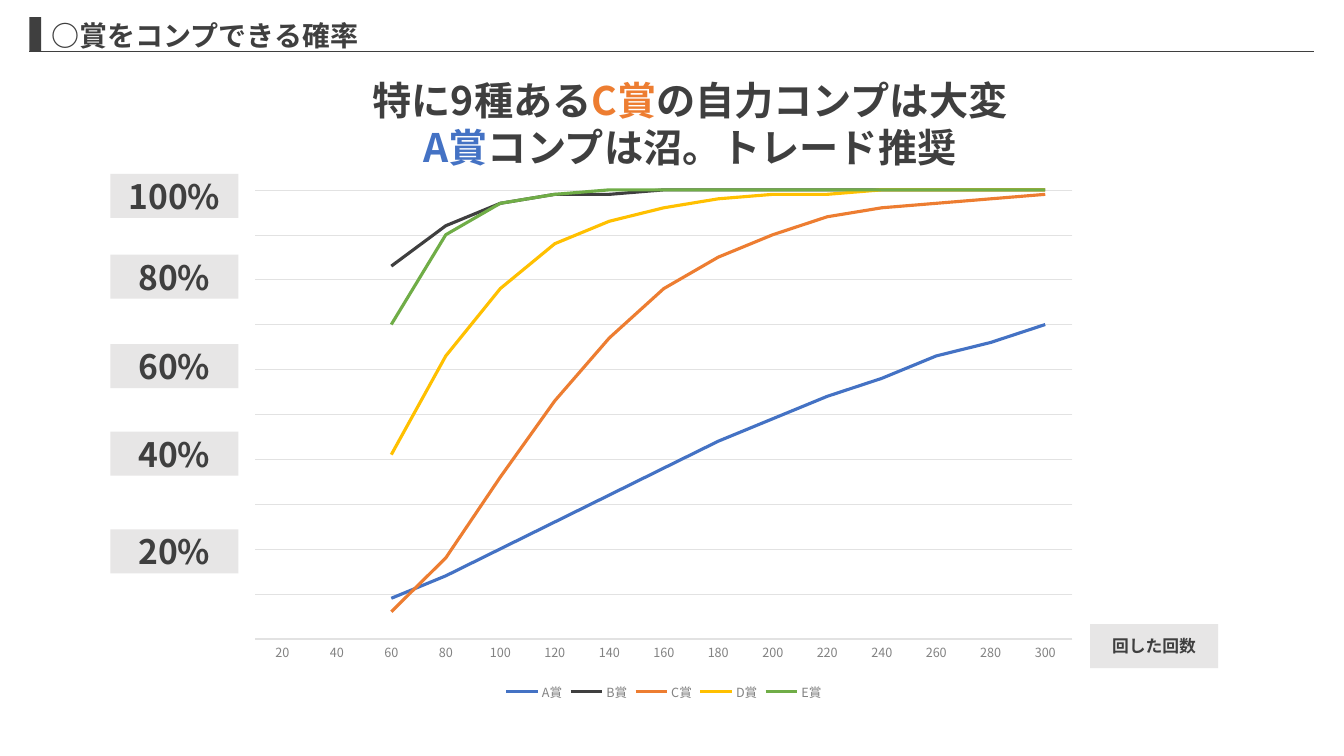
from lxml import etree
from pptx import Presentation
from pptx.chart.data import CategoryChartData
from pptx.dml.color import RGBColor
from pptx.enum.chart import XL_CHART_TYPE, XL_LEGEND_POSITION, XL_TICK_LABEL_POSITION, XL_TICK_MARK
from pptx.enum.shapes import MSO_CONNECTOR, MSO_SHAPE
from pptx.enum.text import MSO_ANCHOR, PP_ALIGN
from pptx.oxml import parse_xml
from pptx.oxml.ns import nsdecls, qn
from pptx.util import Cm, Pt

LINE_CHART = XL_CHART_TYPE.LINE
LEGEND_BOTTOM = XL_LEGEND_POSITION.BOTTOM
NO_LABELS = XL_TICK_LABEL_POSITION.NONE
NO_TICKS = XL_TICK_MARK.NONE
STRAIGHT = MSO_CONNECTOR.STRAIGHT
RECTANGLE = MSO_SHAPE.RECTANGLE
TOP, MIDDLE = MSO_ANCHOR.TOP, MSO_ANCHOR.MIDDLE
LEFT, CENTER = PP_ALIGN.LEFT, PP_ALIGN.CENTER

FONT = "Noto Sans CJK JP"
COLORS = {name: RGBColor.from_string(value) for name, value in {
    "dark": "3F3F3F", "blue": "4472C4", "orange": "ED7D31", "yellow": "FFC000",
    "green": "70AD47", "label": "E7E6E6", "grid": "E2E2E2", "axis": "828282"}.items()}


def style_font(font, size, color, bold=False):
    """Set size, colour, weight and both Latin and East Asian typefaces."""
    font.size, font.bold, font.name = Pt(size), bold, FONT
    font.color.rgb = COLORS[color]
    latin = font._element.find(qn("a:latin")) if hasattr(font, "_element") else font._rPr.find(qn("a:latin"))
    east_asian = etree.Element(qn("a:ea"), typeface=FONT)
    latin.addnext(east_asian)


def add_box(left, top, width, height, fill, text="", size=12):
    """Add a plain filled rectangle with optional bold centred text."""
    shape = slide.shapes.add_shape(RECTANGLE, Cm(left), Cm(top), Cm(width), Cm(height))
    shape.shadow.inherit = False
    shape.fill.solid()
    shape.fill.fore_color.rgb = COLORS[fill]
    shape.line.fill.background()
    if text:
        shape.text_frame.text = text
        shape.text_frame.vertical_anchor = MIDDLE
        paragraph = shape.text_frame.paragraphs[0]
        paragraph.alignment = CENTER
        style_font(paragraph.font, size, "dark", True)


presentation = Presentation()
presentation.slide_width, presentation.slide_height = Cm(33.87), Cm(19.05)
slide = presentation.slides.add_slide(presentation.slide_layouts[5])

# Title with its marker and rule
title = slide.shapes.title
title.left, title.top, title.width, title.height = Cm(1.04), Cm(0.33), Cm(32.2), Cm(1.12)
title.text_frame.text = "○賞をコンプできる確率"
title.text_frame.vertical_anchor = TOP
paragraph = title.text_frame.paragraphs[0]
paragraph.alignment = LEFT
style_font(paragraph.font, 20, "dark", True)

rule = slide.shapes.add_connector(STRAIGHT, Cm(0.74), Cm(1.3), Cm(33.12), Cm(1.3))
rule.line.color.rgb = COLORS["dark"]
rule.line.width = Pt(0.5)
etree.SubElement(rule._element.spPr, qn("a:effectLst"))
add_box(0.74, 0.43, 0.3, 0.87, "dark")

# Headline
headline = slide.shapes.add_textbox(Cm(8.13), Cm(1.8), Cm(18.52), Cm(2.64)).text_frame
headline.word_wrap = True
headline_lines = [
    [("特に9種ある", "dark"), ("C賞", "orange"), ("の自力コンプは大変", "dark")],
    [("A賞", "blue"), ("コンプは沼。トレード推奨", "dark")],
]
for index, parts in enumerate(headline_lines):
    paragraph = headline.add_paragraph() if index else headline.paragraphs[0]
    paragraph.alignment = CENTER
    for text, color in parts:
        run = paragraph.add_run()
        run.text = text
        style_font(run.font, 28, color, True)

# Completion chance by number of draws
series_data = {
    "A賞": ("blue", [9, 14, 20, 26, 32, 38, 44, 49, 54, 58, 63, 66, 70]),
    "B賞": ("dark", [83, 92, 97, 99, 99] + [100] * 8),
    "C賞": ("orange", [6, 18, 36, 53, 67, 78, 85, 90, 94, 96, 97, 98, 99]),
    "D賞": ("yellow", [41, 63, 78, 88, 93, 96, 98, 99, 99] + [100] * 4),
    "E賞": ("green", [70, 90, 97, 99] + [100] * 9),
}
chart_data = CategoryChartData()
chart_data.categories = [str(draws) for draws in range(20, 301, 20)]
for name, (color, values) in series_data.items():
    chart_data.add_series(name, [None, None] + values)
chart = slide.shapes.add_chart(
    LINE_CHART, Cm(6), Cm(4.52), Cm(21.46), Cm(13.23), chart_data).chart
chart.has_title = False
style_font(chart.font, 10, "dark")
chart.has_legend = True
chart.legend.position = LEGEND_BOTTOM
chart.legend.include_in_layout = False
style_font(chart.legend.font, 9, "axis")

plot = chart.plots[0]
plot.vary_by_categories = False
for series, (color, values) in zip(plot.series, series_data.values()):
    series.smooth = False
    series.format.line.color.rgb = COLORS[color]
    series.format.line.width = Pt(2.25)

category_axis, value_axis = chart.category_axis, chart.value_axis
category_axis.major_tick_mark = NO_TICKS
category_axis.format.line.color.rgb = COLORS["grid"]
category_axis.format.line.width = Pt(0.75)
style_font(category_axis.tick_labels.font, 9, "axis")
value_axis.minimum_scale, value_axis.maximum_scale, value_axis.major_unit = 0, 100, 10
value_axis.major_tick_mark = NO_TICKS
value_axis.tick_label_position = NO_LABELS
value_axis.format.line.fill.background()
value_axis.major_gridlines.format.line.color.rgb = COLORS["grid"]
value_axis.major_gridlines.format.line.width = Pt(0.25)

plot_area = chart._chartSpace.chart.plotArea
for old_layout in plot_area.findall(qn("c:layout")):
    plot_area.remove(old_layout)
plot_area.insert(0, parse_xml(
    f'<c:layout {nsdecls("c")}><c:manualLayout><c:layoutTarget val="inner"/>'
    '<c:xMode val="edge"/><c:yMode val="edge"/><c:x val="0.02"/><c:y val="0.02"/>'
    '<c:w val="0.96"/><c:h val="0.855"/></c:manualLayout></c:layout>'))

# Axis labels
for percent, top in zip(range(100, 0, -20), [4.38, 6.42, 8.67, 10.88, 13.34]):
    add_box(2.78, top, 3.23, 1.11, "label", f"{percent}%", 24)
add_box(27.47, 15.73, 3.23, 1.11, "label", "回した回数")

presentation.save("out.pptx")
